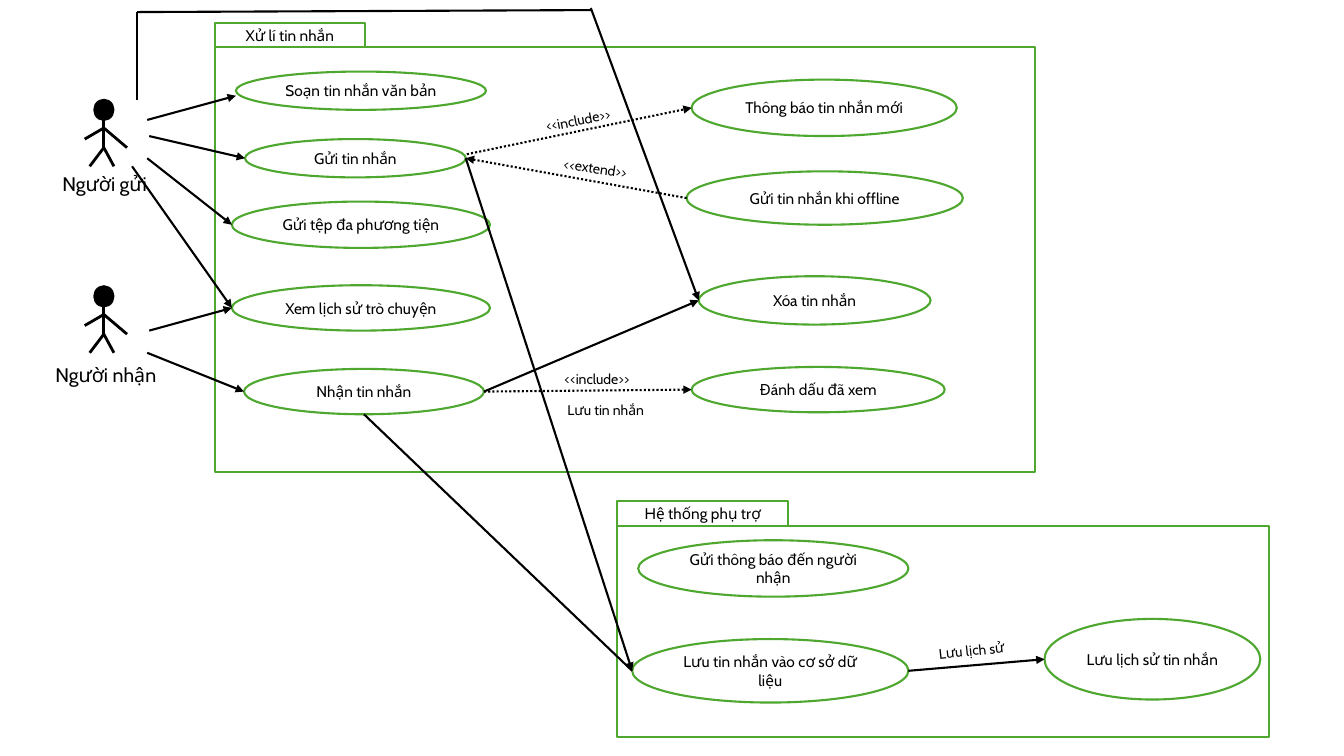
from dataclasses import dataclass

import pptx
import pptx.dml.color
import pptx.enum.dml
import pptx.enum.shapes
import pptx.enum.text
import pptx.oxml
import pptx.oxml.ns
import pptx.util

SHAPE = pptx.enum.shapes.MSO_SHAPE
ALIGN = pptx.enum.text.PP_ALIGN
ANCHOR = pptx.enum.text.MSO_ANCHOR
ROWS = 75


@dataclass(frozen=True)
class Theme:
    font: str = "Cabin"
    ink: str = "000000"
    paper: str = "FFFFFF"
    green: str = "4EA72E"
    actor_size: float = 14
    case_size: float = 11
    note_size: float = 10
    stroke: float = 1.5
    limb_stroke: float = 2


@dataclass(frozen=True)
class Point:
    col: float
    row: float


@dataclass(frozen=True)
class Box:
    col: float
    row: float
    cols: float
    rows: float
    text: str = ""
    turn: float = 0

    @property
    def left(self) -> Point:
        return Point(self.col, self.row + self.rows / 2)

    @property
    def right(self) -> Point:
        return Point(self.col + self.cols, self.row + self.rows / 2)

    @property
    def bottom(self) -> Point:
        return Point(self.col + self.cols / 2, self.row + self.rows)


@dataclass(frozen=True)
class Link:
    start: Point
    end: Point
    arrow: bool = True
    dotted: bool = False


@dataclass(frozen=True)
class Package:
    frame: Box
    tab_cols: float
    tab_rows: float
    title: str

    @property
    def tab(self) -> Box:
        return Box(self.frame.col, self.frame.row - self.tab_rows,
                   self.tab_cols, self.tab_rows, self.title)


THEME = Theme()
HEAD_COL, HEAD_COLS, HEAD_ROWS = 10.3, 1.9, 2.0
NECK, SHOULDER, HIP, FOOT = 2.0, 2.8, 4.75, 6.6
LIMBS = [
    (0, NECK, 0, HIP),
    (0, HIP, -1.4, FOOT),
    (0, HIP, 1, FOOT),
    (0, SHOULDER, -1.9, 3.9),
    (0, SHOULDER, 2.3, HIP),
]
ACTOR_HEAD_ROWS = [9.9, 28.4]
ACTOR_NAMES = [
    Box(5.2, 16.6, 11.1, 3.4, "Người gửi"),
    Box(4.5, 35.5, 13.5, 3.4, "Người nhận"),
]

PACKAGES = [
    Package(Box(21.3, 4.7, 81.4, 42.1), 14.9, 2.4, "Xử lí tin nhắn"),
    Package(Box(61.2, 52.2, 64.7, 20.9), 17, 2.5, "Hệ thống phụ trợ"),
]

compose = Box(23.4, 7.1, 24.8, 3.8, "Soạn tin nhắn văn bản")
send = Box(24.3, 13.8, 21.9, 3.8, "Gửi tin nhắn")
send_media = Box(23, 20, 25.6, 4.6, "Gửi tệp đa phương tiện")
view_history = Box(23, 28.3, 25.6, 4.5, "Xem lịch sử trò chuyện")
receive = Box(24.2, 36.6, 23.8, 4.5, "Nhận tin nhắn")
notify_new = Box(68.6, 7.9, 26.3, 5.6, "Thông báo tin nhắn mới")
send_offline = Box(68.1, 17, 27.4, 5.3, "Gửi tin nhắn khi offline")
delete = Box(69.3, 27.4, 23, 4.8, "Xóa tin nhắn")
mark_seen = Box(68.6, 36.4, 25.1, 4.5, "Đánh dấu đã xem")
notify_receiver = Box(63.3, 53.6, 26.8, 5.6, "Gửi thông báo đến người nhận")
store = Box(62.7, 63.4, 27.4, 6.3, "Lưu tin nhắn vào cơ sở dữ liệu")
store_history = Box(103.6, 61.4, 21.4, 8, "Lưu lịch sử tin nhắn")
USE_CASES = [
    compose, send, send_media, view_history, receive, notify_new,
    send_offline, delete, mark_seen, notify_receiver, store, store_history,
]

detour_left = Point(13.6, 1.2)
LINKS = [
    Link(Point(14.6, 11.9), Point(23.4, 9.5)),
    Link(Point(14.8, 13.5), send.left),
    Link(Point(14.6, 15.7), send_media.left),
    Link(Point(13.1, 16.5), view_history.left),
    Link(Point(14.8, 32.8), view_history.left),
    Link(Point(14.6, 35), receive.left),
    Link(Point(13.6, 9.9), detour_left, arrow=False),
    Link(detour_left, Point(58.6, 1), arrow=False),
    Link(Point(58.6, 0.8), delete.left),
    Link(receive.right, delete.left),
    Link(send.right, store.left),
    Link(store.right, store_history.left),
    Link(receive.bottom, store.left, arrow=False),
    Link(Point(46.3, 15.3), notify_new.left, dotted=True),
    Link(send_offline.left, send.right, dotted=True),
    Link(receive.right, mark_seen.left, dotted=True),
]
NOTES = [
    Box(53.1, 10.3, 11.5, 2.7, "<<include>>", -10.9),
    Box(55, 36.3, 11.5, 2.7, "<<include>>"),
    Box(54.9, 15.6, 11.2, 2.7, "<<extend>>", 8.4),
    Box(55.3, 39.3, 12.9, 2.7, "Lưu tin nhắn"),
    Box(92.1, 62.9, 14.1, 2.7, "Lưu lịch sử", -5.9),
]

deck = pptx.Presentation()
deck.slide_width = pptx.util.Inches(13.33)
deck.slide_height = pptx.util.Inches(7.5)
slide = deck.slides.add_slide(deck.slide_layouts[6])


def cells(*counts: float) -> list[int]:
    return [round(count * deck.slide_height / ROWS) for count in counts]


def color(code: str) -> pptx.dml.color.RGBColor:
    return pptx.dml.color.RGBColor.from_string(code)


def write(frame, text: str, *, size: float, align=ALIGN.LEFT, anchor=ANCHOR.TOP) -> None:
    frame.word_wrap = True
    frame.vertical_anchor = anchor
    paragraph = frame.paragraphs[0]
    paragraph.alignment = align
    run = paragraph.add_run()
    run.text = text
    run.font.name = THEME.font
    run.font.size = pptx.util.Pt(size)
    run.font.color.rgb = color(THEME.ink)


def draw_box(box: Box, kind, fill: str = THEME.paper, line: str = THEME.green) -> None:
    shape = slide.shapes.add_shape(kind, *cells(box.col, box.row, box.cols, box.rows))
    shape.shadow.inherit = False
    shape.fill.solid()
    shape.fill.fore_color.rgb = color(fill)
    shape.line.color.rgb = color(line)
    shape.line.width = pptx.util.Pt(THEME.stroke)
    if box.text:
        write(shape.text_frame, box.text, size=THEME.case_size,
              align=ALIGN.CENTER, anchor=ANCHOR.MIDDLE)


def draw_label(box: Box, size: float) -> None:
    label = slide.shapes.add_textbox(*cells(box.col, box.row, box.cols, box.rows))
    label.rotation = box.turn
    write(label.text_frame, box.text, size=size)
    label.text_frame.auto_size = pptx.enum.text.MSO_AUTO_SIZE.SHAPE_TO_FIT_TEXT


def draw_link(link: Link, width: float = THEME.stroke) -> None:
    ends = cells(link.start.col, link.start.row, link.end.col, link.end.row)
    connector = slide.shapes.add_connector(pptx.enum.shapes.MSO_CONNECTOR.STRAIGHT, *ends)
    connector.line.color.rgb = color(THEME.ink)
    connector.line.width = pptx.util.Pt(width)
    if link.dotted:
        connector.line.dash_style = pptx.enum.dml.MSO_LINE.ROUND_DOT
    properties = connector._element.spPr
    if link.arrow:
        tail = pptx.oxml.parse_xml(f'<a:tailEnd {pptx.oxml.ns.nsdecls("a")} type="triangle"/>')
        properties.find(pptx.oxml.ns.qn("a:ln")).append(tail)
    properties.append(pptx.oxml.parse_xml(f'<a:effectLst {pptx.oxml.ns.nsdecls("a")}/>'))


def draw_actor(top: float) -> None:
    head = Box(HEAD_COL - HEAD_COLS / 2, top, HEAD_COLS, HEAD_ROWS)
    draw_box(head, SHAPE.OVAL, fill=THEME.ink, line=THEME.ink)
    for x1, y1, x2, y2 in LIMBS:
        limb = Link(Point(HEAD_COL + x1, top + y1), Point(HEAD_COL + x2, top + y2), arrow=False)
        draw_link(limb, THEME.limb_stroke)


for head_row in ACTOR_HEAD_ROWS:
    draw_actor(head_row)
for actor_name in ACTOR_NAMES:
    draw_label(actor_name, THEME.actor_size)
for package in PACKAGES:
    draw_box(package.frame, SHAPE.RECTANGLE)
for use_case in USE_CASES:
    draw_box(use_case, SHAPE.OVAL)
for relation in LINKS:
    draw_link(relation)
for note in NOTES:
    draw_label(note, THEME.note_size)
for package in PACKAGES:
    draw_box(package.tab, SHAPE.RECTANGLE)

deck.save("out.pptx")
